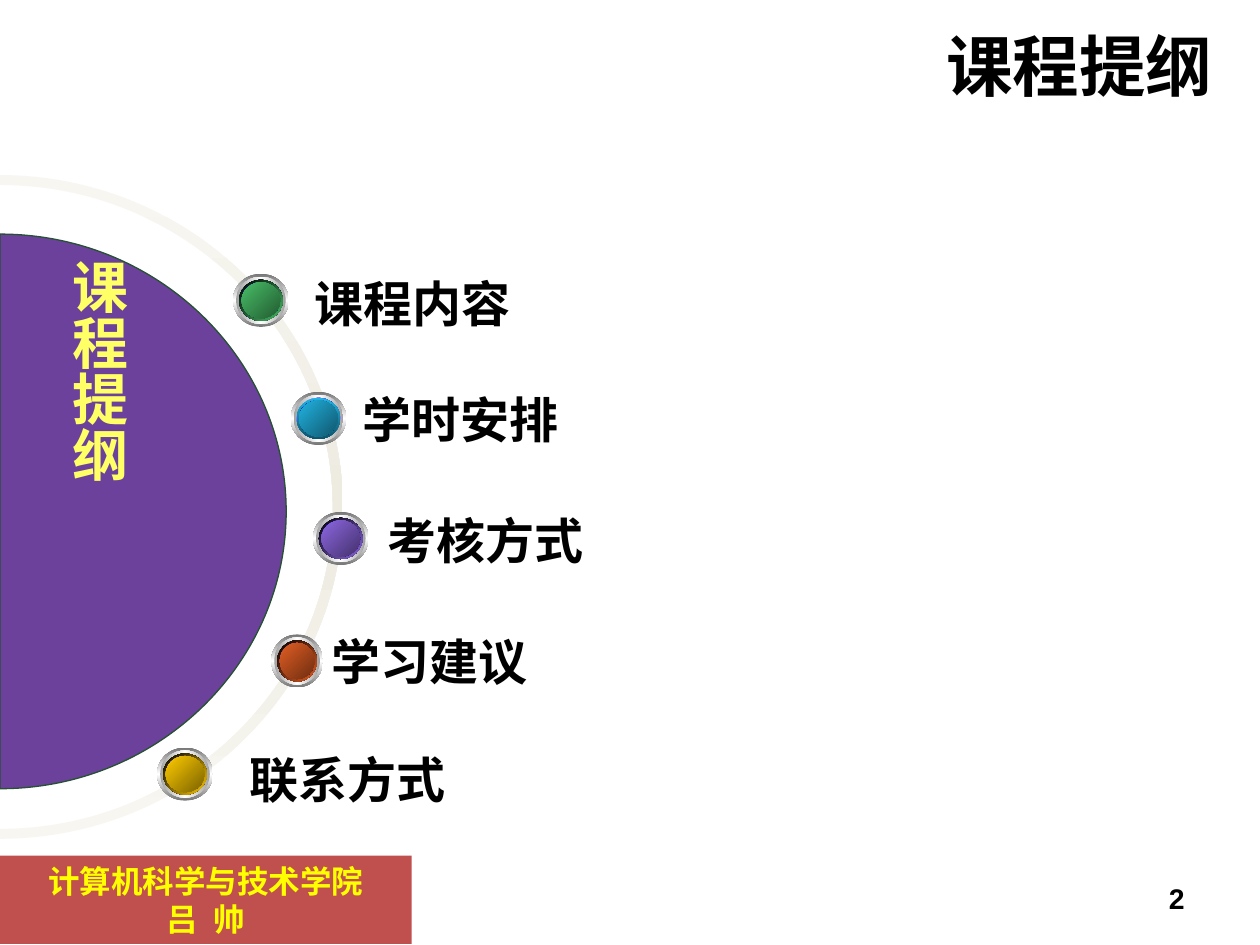
"""Build the course outline slide with a half disc, a ring and five marked topics."""
from pptx import Presentation, oxml
from pptx.dml.color import RGBColor
from pptx.enum import shapes, text
from pptx.oxml import ns
from pptx.util import Cm, Pt

BLACK = RGBColor(0x00, 0x00, 0x00)
WHITE = RGBColor(0xFF, 0xFF, 0xFF)
YELLOW = RGBColor(0xFF, 0xFF, 0x00)
LEMON = RGBColor(0xFF, 0xFF, 0x66)
BRICK = RGBColor(0xC0, 0x50, 0x4D)
PURPLE = RGBColor(0x6B, 0x41, 0x9B)
PINE = RGBColor(0x26, 0x51, 0x32)
CREAM = RGBColor(0xF7, 0xF6, 0xF1)
SAND = RGBColor(0xEE, 0xEC, 0xE1)
GREY = RGBColor(0x76, 0x76, 0x76)
SILVER = RGBColor(0xA2, 0xA2, 0xA2)
BLUE = RGBColor(0x00, 0x00, 0xFF)
NAVY = RGBColor(0x00, 0x00, 0x8A)
GREEN, MOSS = RGBColor(0x48, 0xBE, 0x67), RGBColor(0x23, 0x5C, 0x32)
SKY, TEAL, DEEP = RGBColor(0x21, 0xB3, 0xE1), RGBColor(0x10, 0x57, 0x6D), RGBColor(0x0F, 0x53, 0x68)
LILAC, PLUM = RGBColor(0x8D, 0x67, 0xE1), RGBColor(0x45, 0x32, 0x6D)
RUST, BROWN = RGBColor(0xE3, 0x5E, 0x23), RGBColor(0x6E, 0x2E, 0x11)
GOLD, OCHRE = RGBColor(0xFF, 0xCC, 0x00), RGBColor(0x7C, 0x63, 0x00)


def shade(shape, angle, *tones):
    step = 100000 // (len(tones) - 1)
    stops = "".join(f'<a:gs pos="{i * step}"><a:srgbClr val="{tone}"/></a:gs>'
                    for i, tone in enumerate(tones))
    fill = oxml.parse_xml(f'<a:gradFill {ns.nsdecls("a")} rotWithShape="1"><a:gsLst>{stops}'
                          f'</a:gsLst><a:lin ang="{angle * 60000}" scaled="0"/></a:gradFill>')
    shape.shadow.inherit = False
    shape.line.fill.background()
    shape._element.spPr.insert(2, fill)


def write(shape, lines, size, color, align, anchor=text.MSO_ANCHOR.MIDDLE, wrap=True):
    frame = shape.text_frame
    frame.word_wrap = wrap
    frame.vertical_anchor = anchor
    frame.text = lines
    for para in frame.paragraphs:
        para.alignment = align
        font = para.font
        font.name, font.size, font.bold = "Arial", Pt(size), True
        font.color.rgb = color
    return frame


deck = Presentation()
deck.slide_width, deck.slide_height = Cm(25.4), Cm(19.05)
page = deck.slides.add_slide(deck.slide_layouts[6]).shapes
LEFT, MID, RIGHT = text.PP_ALIGN.LEFT, text.PP_ALIGN.CENTER, text.PP_ALIGN.RIGHT
TOP, GROW = text.MSO_ANCHOR.TOP, text.MSO_AUTO_SIZE.SHAPE_TO_FIT_TEXT
OVAL, PILL, RECT = (shapes.MSO_SHAPE.OVAL, shapes.MSO_SHAPE.ROUNDED_RECTANGLE,
                    shapes.MSO_SHAPE.RECTANGLE)

banner = page.add_shape(RECT, 0, Cm(17.25), Cm(8.3), Cm(1.78))
banner.shadow.inherit = False
banner.fill.solid()
banner.fill.fore_color.rgb = BRICK
banner.line.fill.background()
name = write(banner, "计算机科学与技术学院\n吕", 18, YELLOW, MID, TOP).paragraphs[1]
gap, last = name.add_run(), name.add_run()
gap.text, last.text = " ", "帅"
gap.font._element.set("spc", "500")

outer, inner, edge = [[(Cm(wide * x), Cm(mid + high * y)) for x, y in
                       ((0, -1), (0.55, -1), (1, -0.55), (1, 0), (1, 0.55), (0.55, 1), (0, 1))]
                      for wide, high, mid in ((6.91, 6.69, 10.22), (6.71, 6.49, 10.22),
                                              (5.77, 5.59, 10.31))]
arcs = []
for route in (outer + inner[::-1], edge):
    pen = page.build_freeform(*route[0])
    pen.add_line_segments(route[1:], close=True)
    arc = pen.convert_to_shape()
    lines = list(arc._element.iter(ns.qn("a:lnTo")))
    for start in range(0, len(lines), 7):
        for first in (start, start + 3):
            curve = oxml.parse_xml(f'<a:cubicBezTo {ns.nsdecls("a")}/>')
            lines[first].addprevious(curve)
            for line in lines[first:first + 3]:
                curve.append(line[0])
                line.getparent().remove(line)
    arcs.append(arc)
ring, half = arcs
shade(ring, 90, CREAM, SAND, CREAM)
half.shadow.inherit = False
half.fill.solid()
half.fill.fore_color.rgb = PURPLE
half.line.color.rgb = PINE
half.line.width = Pt(0.75)

topics = [
    ("课程内容", 5.89, 5.39, 4.7, 5.52, 1.12, GREEN, MOSS, (45, BLACK, GREEN)),
    ("学时安排", 6.86, 7.73, 5.86, 7.9, 1.12, SKY, TEAL, (90, SKY, DEEP)),
    ("考核方式", 7.36, 10.17, 6.31, 10.32, 1.12, LILAC, PLUM, (45, BLACK, LILAC)),
    ("学习建议", 6.23, 12.62, 5.47, 12.79, 1.04, RUST, BROWN, (45, BLACK, RUST)),
    ("联系方式", 4.57, 15, 3.17, 15.07, 1.12, GOLD, OCHRE, (45, BLACK, GOLD)),
]
for topic, left, top, x, y, wide, light, dark, rim in topics:
    group = page.add_group_shape().shapes
    label = group.add_shape(PILL, Cm(left), Cm(top), Cm(13.08), Cm(1.42))
    label.adjustments[0] = 0.5
    label.shadow.inherit = False
    label.fill.background()
    label.line.fill.background()
    write(label, topic, 28, BLACK, LEFT, wrap=False)
    layers = [(0, (90, GREY, WHITE, GREY)), (0.06, (0, SILVER, WHITE, SILVER)),
              (0.12, (45, WHITE, BLUE, WHITE)), (0.12, rim),
              (0.17, (315, NAVY, BLUE, NAVY)), (0.17, (45, light, dark))]
    for inset, tones in layers:
        ball = group.add_shape(OVAL, Cm(x + inset), Cm(y + inset),
                               Cm(wide - 2 * inset), Cm(1.07 - 2 * inset))
        shade(ball, *tones)

title = page.add_textbox(Cm(3.86), Cm(0.33), Cm(20.83), Cm(1.96))
write(title, "课程提纲", 38, BLACK, RIGHT)

side = page.add_textbox(Cm(0.94), Cm(4.98), Cm(1.85), Cm(10.8))
frame = write(side, "课程提纲", 32, LEMON, MID, TOP)
frame.auto_size = GROW
frame.margin_left = frame.margin_right = Cm(0.13)
frame.margin_top = frame.margin_bottom = Cm(0.25)
frame._txBody.bodyPr.set("vert", "eaVert")

number = page.add_textbox(Cm(18.21), Cm(17.66), Cm(5.92), Cm(1.02))
write(number, "2", 16.2, BLACK, RIGHT).paragraphs[0].line_spacing = 0.8

deck.save("out.pptx")
